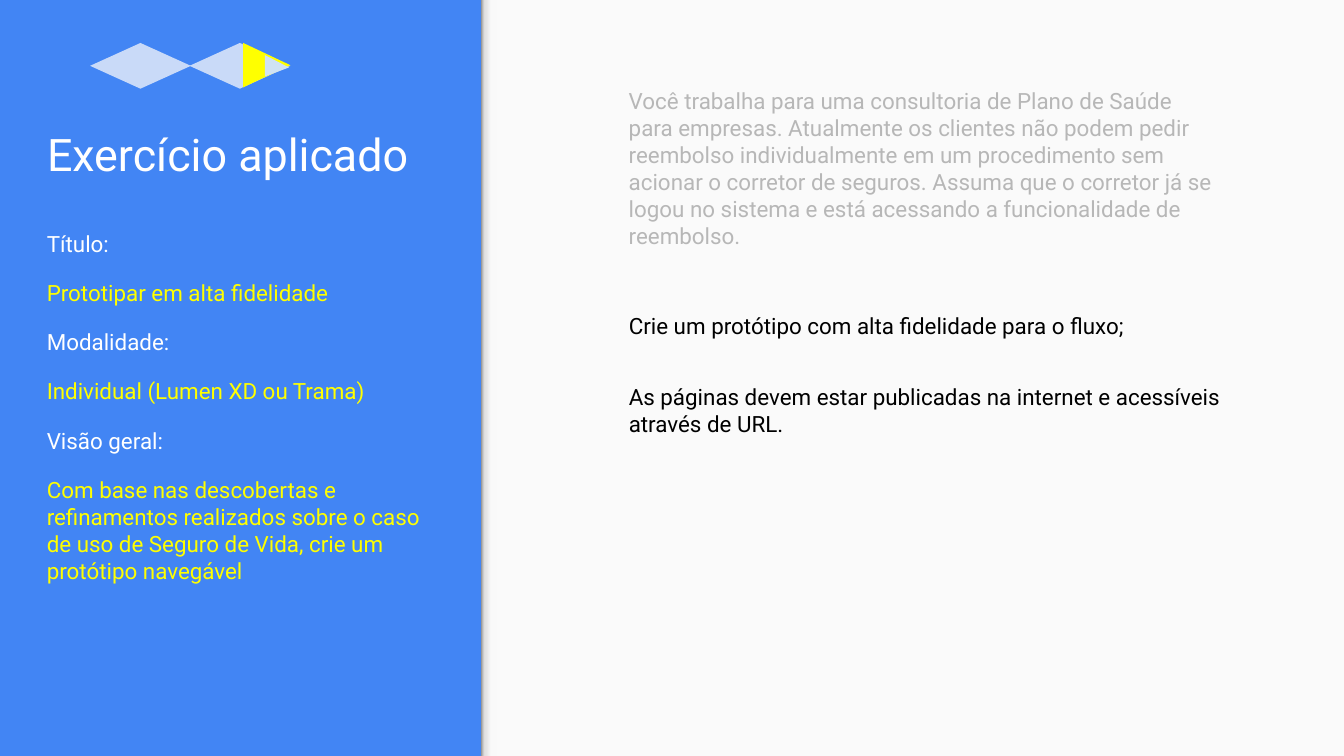
from pptx import Presentation
from pptx.dml.color import RGBColor
from pptx.enum.shapes import MSO_SHAPE
from pptx.enum.text import MSO_ANCHOR, MSO_AUTO_SIZE, PP_ALIGN
from pptx.oxml import parse_xml
from pptx.oxml.ns import nsdecls
from pptx.util import Inches, Pt

RECT = MSO_SHAPE.RECTANGLE
DIAMOND = MSO_SHAPE.DIAMOND
TRIANGLE = MSO_SHAPE.ISOSCELES_TRIANGLE
TOP, BOTTOM = MSO_ANCHOR.TOP, MSO_ANCHOR.BOTTOM
NO_FIT, GROW = MSO_AUTO_SIZE.NONE, MSO_AUTO_SIZE.SHAPE_TO_FIT_TEXT
LEFT = PP_ALIGN.LEFT

FONT = "Roboto"
WIDTH = 10
HEIGHT = WIDTH * 9 / 16
SPLIT, EDGE = 3.58, 0.12
BLUE, PAPER, PALE, ICE = "4285F4", "FAFAFA", "C9DAF8", "CFE2F3"
WHITE, YELLOW, GREY, BLACK = "FFFFFF", "FFFF00", "B7B7B7", "000000"
EDGE_STOPS = [(0, "F9F9F9"), (36, "F9F9F9"), (80, "DEDEDE"), (100, "999999")]

DETAILS = [
    ("Título:", "Prototipar em alta fidelidade"),
    ("Modalidade:", "Individual (Lumen XD ou Trama)"),
    ("Visão geral:", "Com base nas descobertas e refinamentos realizados sobre "
     "o caso de uso de Seguro de Vida, crie um protótipo navegável"),
]
BRIEFS = [
    (0.55, 4.6, 1.41, GREY,
     "Você trabalha para uma consultoria de Plano de Saúde para empresas. "
     "Atualmente os clientes não podem pedir reembolso individualmente em um "
     "procedimento sem acionar o corretor de seguros. Assuma que o corretor já "
     "se logou no sistema e está acessando a funcionalidade de reembolso."),
    (2.22, 4.62, 0.4, BLACK,
     "Crie um protótipo com alta fidelidade para o fluxo;"),
    (2.75, 4.62, 0.61, BLACK,
     "As páginas devem estar publicadas na internet e acessíveis através de URL."),
]


def rgb(value):
    return RGBColor.from_string(value)


def place(sp, x, y, w, h):
    sp.left, sp.top, sp.width, sp.height = map(Inches, (x, y, w, h))


def add_shape(s, kind, x, y, w, h, color, rotation=0):
    sp = s.shapes.add_shape(kind, *map(Inches, (x, y, w, h)))
    sp.shadow.inherit = False
    sp.fill.solid()
    sp.fill.fore_color.rgb = rgb(color)
    sp.line.fill.background()
    sp.rotation = rotation
    return sp


def set_gradient(sp, stops, angle):
    sp.fill.background()
    xml = "".join(f'<a:gs pos="{pos * 1000}"><a:srgbClr val="{color}"/></a:gs>'
                  for pos, color in stops)
    gradient = parse_xml(f'<a:gradFill rotWithShape="1" {nsdecls("a")}>'
                         f'<a:gsLst>{xml}</a:gsLst>'
                         f'<a:lin ang="{angle * 60000}" scaled="0"/></a:gradFill>')
    sp_pr = sp.element.spPr
    sp_pr.replace(sp_pr.find("{*}noFill"), gradient)


def write_text(sp, lines, size, anchor=TOP, fit=NO_FIT, gap=0):
    tf = sp.text_frame
    tf.word_wrap = True
    tf.auto_size = fit
    tf.vertical_anchor = anchor
    tf.margin_left = tf.margin_right = Inches(0.1)
    tf.margin_top = tf.margin_bottom = Inches(0.1)
    tf.text = "\n".join(text for text, _ in lines)
    for i, (p, (_, color)) in enumerate(zip(tf.paragraphs, lines)):
        p.alignment = LEFT
        p.space_before = Pt(gap if i else 0)
        font = p.runs[0].font
        font.name = FONT
        font.size = Pt(size)
        font.color.rgb = rgb(color)


def add_text(s, x, y, w, h, lines, **options):
    sp = s.shapes.add_textbox(*map(Inches, (x, y, w, h)))
    write_text(sp, lines, 12, **options)


def add_panels(s):
    add_shape(s, RECT, SPLIT, 0, WIDTH - SPLIT, HEIGHT, PAPER)
    edge = add_shape(s, RECT, SPLIT + (EDGE - HEIGHT) / 2, (HEIGHT - EDGE) / 2,
                     HEIGHT, EDGE, PAPER, 270)
    set_gradient(edge, EDGE_STOPS, 270)


def add_double_diamond(s):
    for x in (0.67, 1.41):
        add_shape(s, DIAMOND, x, 0.32, 0.75, 0.34, PALE)
    add_shape(s, TRIANGLE, 1.82, 0.31, 0.33, 0.35, YELLOW, 90)
    tip = add_shape(s, TRIANGLE, 1.98, 0.4, 0.16, 0.18, ICE, 90)
    tip.adjustments[0] = 0.58


def main():
    prs = Presentation()
    prs.slide_width, prs.slide_height = Inches(WIDTH), Inches(HEIGHT)
    s = prs.slides.add_slide(prs.slide_layouts[5])
    s.background.fill.solid()
    s.background.fill.fore_color.rgb = rgb(BLUE)

    add_panels(s)
    title = s.shapes.title
    place(title, 0.25, 0.4, 3.07, 1.04)
    write_text(title, [("Exercício aplicado", WHITE)], 24, anchor=BOTTOM)

    details = [line for label, value in DETAILS
               for line in ((label, WHITE), (value, YELLOW))]
    add_text(s, 0.25, 1.61, 3.07, 3.46, details, gap=12)
    for y, w, h, color, text in BRIEFS:
        add_text(s, 4.58, y, w, h, [(text, color)], fit=GROW)
    add_double_diamond(s)
    prs.save("out.pptx")


if __name__ == "__main__":
    main()
